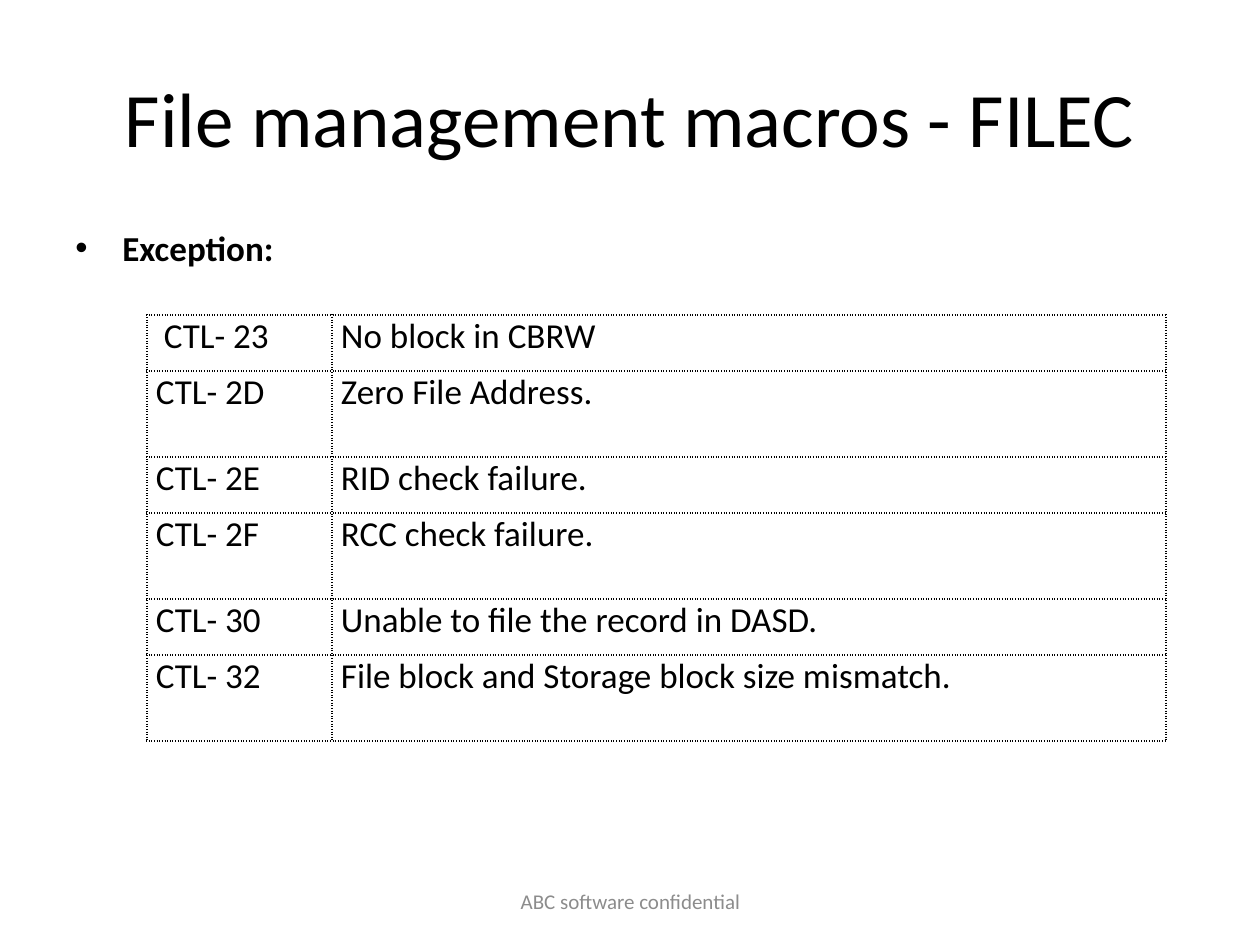
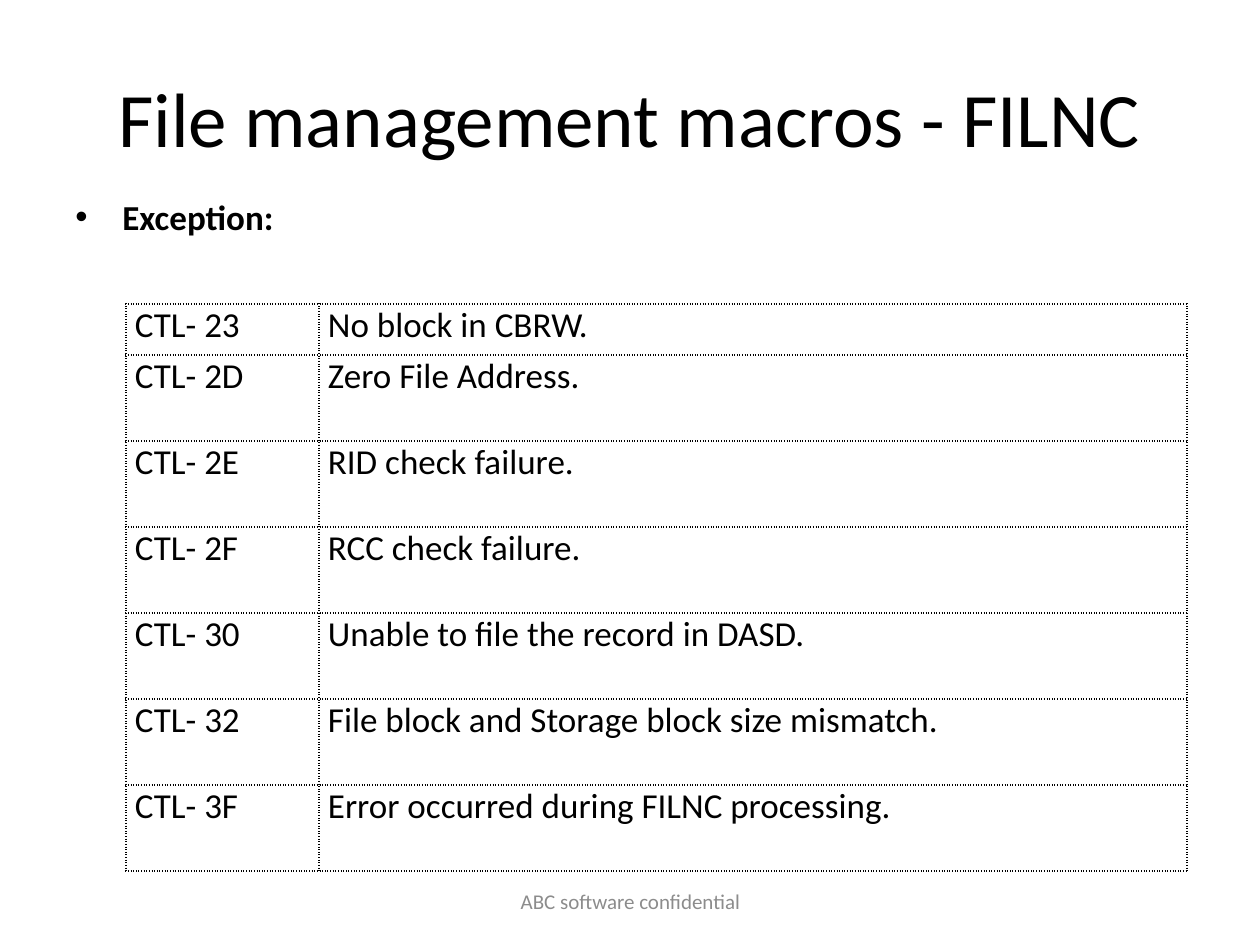
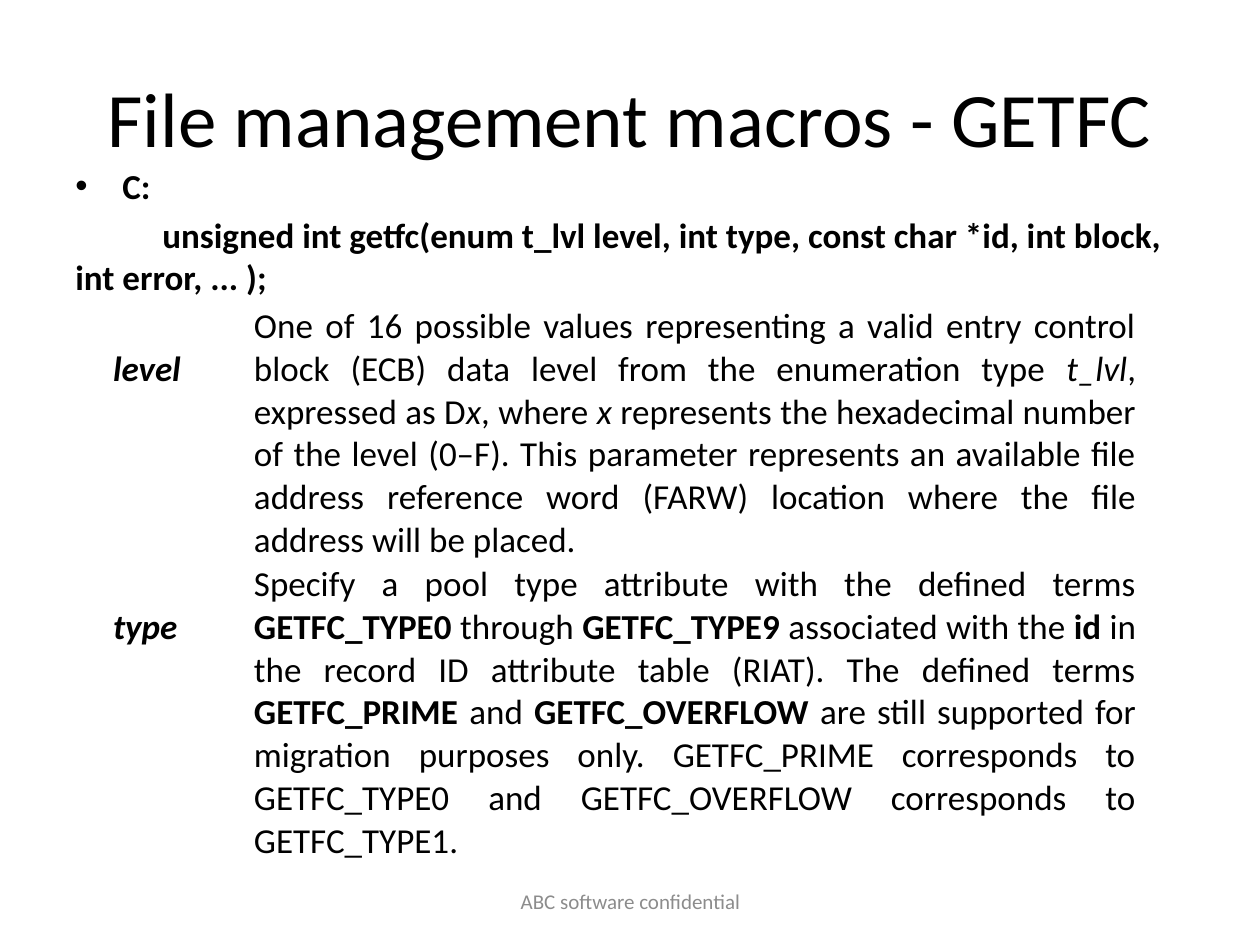
from lxml.etree import SubElement as Sub
from pptx import Presentation
from pptx.dml.color import RGBColor as Rgb
from pptx.enum.text import MSO_ANCHOR as Anchor, PP_ALIGN as Align
from pptx.oxml.ns import qn
from pptx.util import Emu, Pt

SCALE = 914400 / 126
FONT = "Calibri"
INK = {"page": "FFFFFF", "text": "000000", "foot": "8C8C8C", "rule": "000000"}


def px(n):
    return Emu(round(n * SCALE))


def put(para, text, size=20, ink="text", bold=False, align=Align.LEFT,
        left=0, first=0, bullet=None, before=0):
    para.alignment = align
    para.space_before = Pt(before)
    props = para._p.get_or_add_pPr()
    props.set("marL", str(px(left)))
    props.set("indent", str(px(first)))
    if bullet:
        Sub(props, qn("a:buFont"), typeface="Arial")
        Sub(props, qn("a:buChar"), char=bullet)
    for words, style in [(text, "")] if isinstance(text, str) else text:
        run = para.add_run()
        run.text = words
        font = run.font
        font.name = FONT
        font.size = Pt(size)
        font.bold = bold or "b" in style
        font.italic = "i" in style
        font.color.rgb = Rgb.from_string(INK[ink])


def add_box(slide, x, y, w, h, anchor=Anchor.TOP):
    frame = slide.shapes.add_textbox(px(x), px(y), px(w), px(h)).text_frame
    frame.word_wrap = True
    frame.vertical_anchor = anchor
    return frame


def add_page(deck, macro):
    slide = deck.slides.add_slide(deck.slide_layouts[6])
    slide.background.fill.solid()
    slide.background.fill.fore_color.rgb = Rgb.from_string(INK["page"])
    title = add_box(slide, 63, 38, 1134, 157, Anchor.MIDDLE)
    put(title.paragraphs[0], f"File management macros - {macro}",
        size=44, align=Align.CENTER)
    foot = add_box(slide, 431, 876, 399, 50, Anchor.MIDDLE)
    put(foot.paragraphs[0], "ABC software confidential",
        size=12, ink="foot", align=Align.CENTER)
    return slide


def add_head(slide, y, text):
    frame = add_box(slide, 63, y, 1134, 844 - y)
    put(frame.paragraphs[0], text, bold=True, left=47, first=-47, bullet="•")
    return frame


def add_rules(cell, dotted):
    props = cell._tc.get_or_add_tcPr()
    for side in "LRTB":
        line = Sub(props, qn(f"a:ln{side}"), w=str(Pt(1)))
        if dotted:
            fill = Sub(line, qn("a:solidFill"))
            Sub(fill, qn("a:srgbClr"), val=INK["rule"])
            Sub(line, qn("a:prstDash"), val="sysDot")
        else:
            Sub(line, qn("a:noFill"))


def add_grid(slide, x, y, cols, highs, rows, pad=9, dotted=True,
             align=Align.LEFT):
    grid = slide.shapes.add_table(len(rows), len(cols), px(x), px(y),
                                  px(sum(cols)), px(sum(highs))).table
    grid.first_row = grid.horz_banding = False
    for col, wide in zip(grid.columns, cols):
        col.width = px(wide)
    for row, high, texts in zip(grid.rows, highs, rows):
        row.height = px(high)
        for cell, text in zip(row.cells, texts):
            cell.margin_left = cell.margin_right = px(pad)
            cell.margin_top = cell.margin_bottom = 0
            add_rules(cell, dotted)
            cell.fill.background()
            put(cell.text_frame.paragraphs[0], text, align=align)
    return grid


FAULTS = [
    ("CTL- 2D", "Zero File Address."),
    ("CTL- 2E", "RID check failure."),
    ("CTL- 2F", "RCC check failure."),
    ("CTL- 30", "Unable to file the record in DASD."),
    ("CTL- 32", "File block and Storage block size mismatch."),
]

LEVEL = [
    ("One of 16 possible values representing a valid entry control block "
     "(ECB) data level from the enumeration type ", ""),
    ("t_lvl", "i"), (", expressed as D", ""), ("x", "i"),
    (", where ", ""), ("x", "i"),
    (" represents the hexadecimal number of the level (0–F). This parameter "
     "represents an available file address reference word (FARW) location "
     "where the file address will be placed.", ""),
]

TYPE = [
    ("Specify a pool type attribute with the defined terms ", ""),
    ("GETFC_TYPE0 ", "b"), ("through ", ""), ("GETFC_TYPE9 ", "b"),
    ("associated with the ", ""), ("id", "b"),
    (" in the record ID attribute table (RIAT). The defined terms ", ""),
    ("GETFC_PRIME ", "b"), ("and ", ""), ("GETFC_OVERFLOW ", "b"),
    ("are still supported for migration purposes only. GETFC_PRIME "
     "corresponds to GETFC_TYPE0 and GETFC_OVERFLOW corresponds to "
     "GETFC_TYPE1.", ""),
]


def add_filec(deck):
    slide = add_page(deck, "FILEC")
    add_head(slide, 220, "Exception:")
    rows = [("CTL- 23", "No block in CBRW"), *FAULTS]
    grid = add_grid(slide, 147, 315, [185, 834], [56, 86] * 3, rows)
    grid.cell(0, 0).margin_left = px(17)


def add_filnc(deck):
    slide = add_page(deck, "FILNC")
    add_head(slide, 189, "Exception:")
    rows = [("CTL- 23", "No block in CBRW."), *FAULTS,
            ("CTL- 3F", "Error occurred during FILNC processing.")]
    add_grid(slide, 126, 304, [193, 868], [51] + [86] * 6, rows)


def add_getfc(deck):
    slide = add_page(deck, "GETFC")
    body = add_head(slide, 158, "C:")
    put(body.add_paragraph(),
        "unsigned int getfc(enum t_lvl level, int type, const char *id, "
        "int block, int error, ... );", bold=True, first=87, before=4)
    rows = [([("level", "bi")], LEVEL), ([("type", "bi")], TYPE)]
    grid = add_grid(slide, 105, 305, [141, 898], [258, 301], rows,
                    pad=8, dotted=False, align=Align.JUSTIFY)
    for row in grid.rows:
        row.cells[0].margin_top = px(43)


def main():
    deck = Presentation()
    deck.slide_width, deck.slide_height = px(1260), px(945)
    add_filec(deck)
    add_filnc(deck)
    add_getfc(deck)
    deck.save("out.pptx")


if __name__ == "__main__":
    main()
